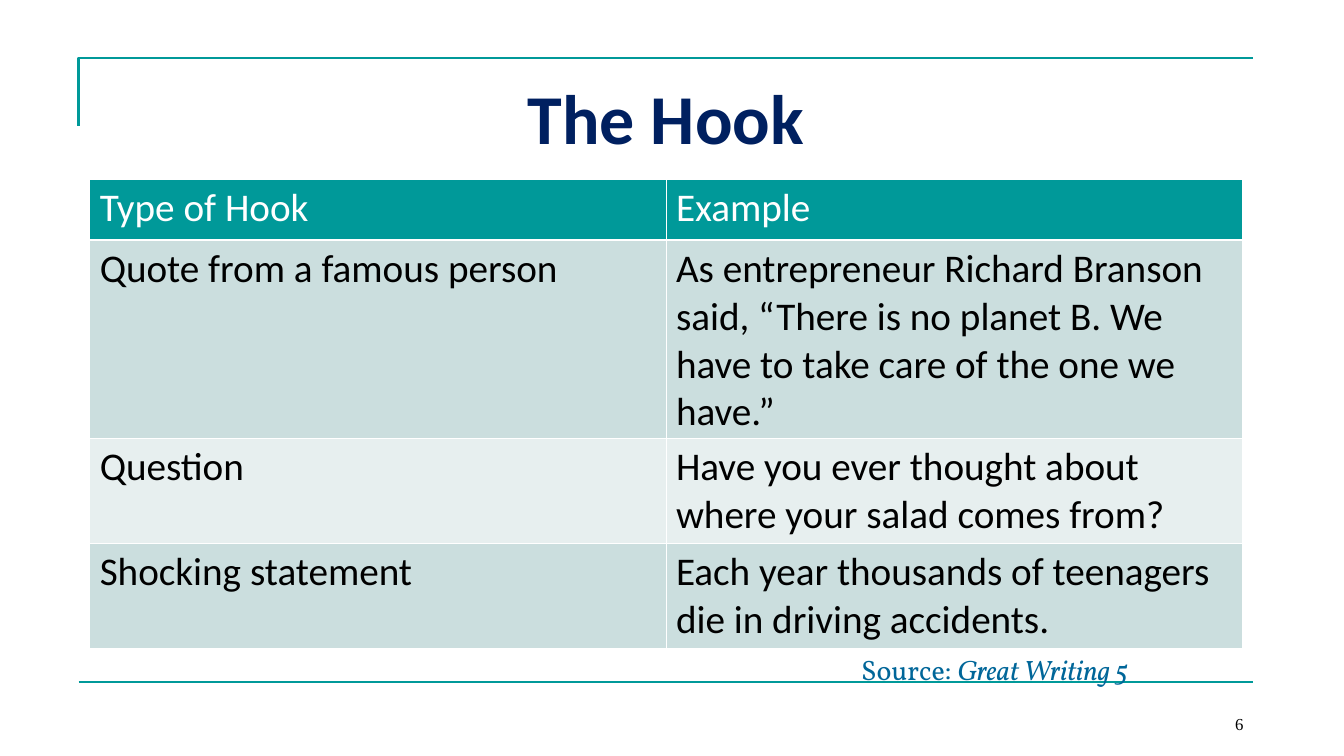
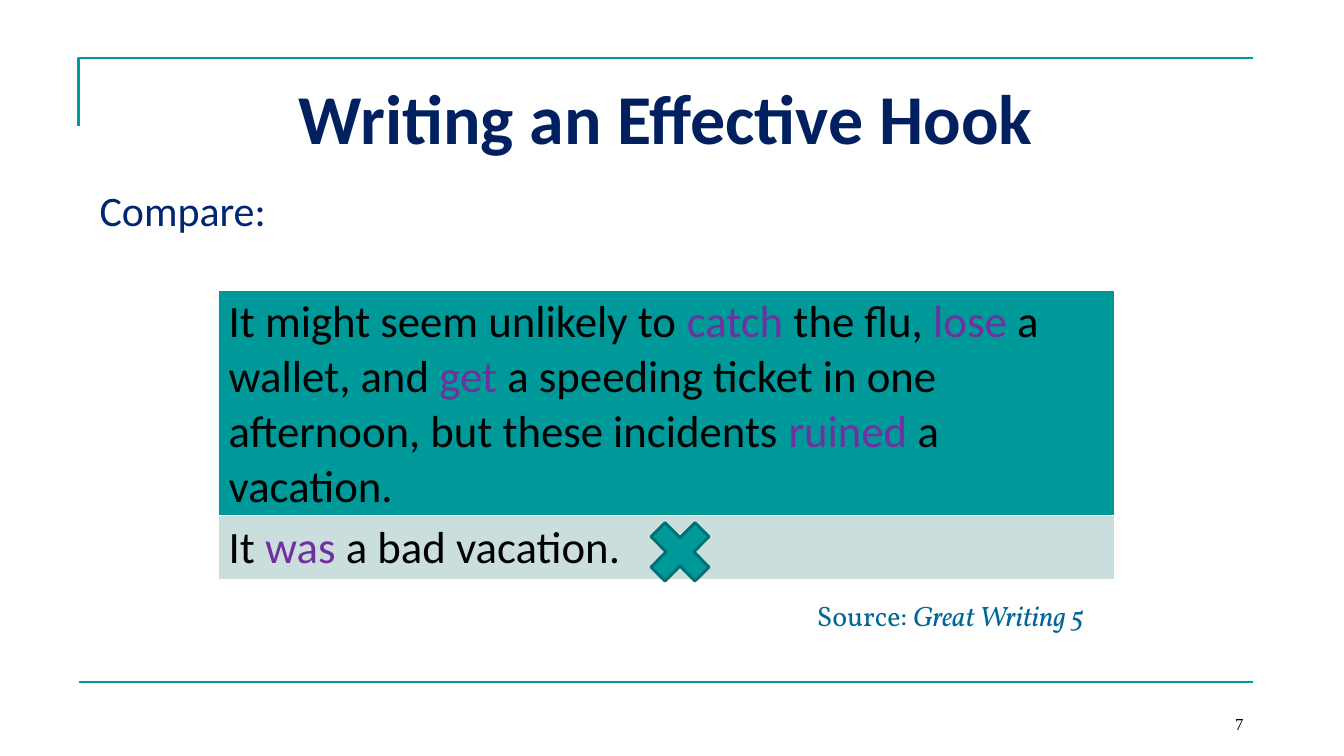
import pptx
import pptx.dml.color
import pptx.enum.shapes
import pptx.enum.text
import pptx.oxml.ns
import pptx.util
from lxml import etree

Inches = pptx.util.Inches
Pt = pptx.util.Pt
ALIGN = pptx.enum.text.PP_ALIGN
ANCHOR = pptx.enum.text.MSO_ANCHOR
qn = pptx.oxml.ns.qn

# Shared look
TEAL, DARK_TEAL, PALE, PALEST = "009999", "006F6F", "CBDEDE", "E7EFEF"
NAVY, BODY_BLUE, SOURCE_BLUE = "002060", "002673", "006699"
PURPLE, BLACK, WHITE = "7030A0", "000000", "FFFFFF"
BODY_FONT = "Calibri"
FRAME_LEFT, FRAME_TOP, FRAME_RIGHT, FRAME_BOTTOM = 0.78, 0.58, 12.44, 6.77
CORNER_DROP = 0.67
CONTENT_LEFT, CONTENT_WIDTH = 0.89, 11.44


def rgb(color):
    return pptx.dml.color.RGBColor.from_string(color)


def format_font(font, size, color, name=BODY_FONT):
    font.size = Pt(size)
    font.name = name
    font.color.rgb = rgb(color)


def write_runs(paragraph, parts, size, name=BODY_FONT):
    """Write (text, color) parts and return the runs."""
    runs = []
    for text, color in parts:
        run = paragraph.add_run()
        run.text = text
        format_font(run.font, size, color, name)
        runs.append(run)
    return runs


def add_text_box(slide, left, top, width, height):
    box = slide.shapes.add_textbox(*map(Inches, (left, top, width, height)))
    box.text_frame.word_wrap = True
    return box.text_frame


def add_frame(slide):
    """Corner line above the title and rule above the footer."""
    builder = slide.shapes.build_freeform(
        Inches(FRAME_LEFT), Inches(FRAME_TOP + CORNER_DROP))
    builder.add_line_segments(
        [(Inches(FRAME_LEFT), Inches(FRAME_TOP)),
         (Inches(FRAME_RIGHT), Inches(FRAME_TOP))], close=False)
    corner = builder.convert_to_shape()
    corner.fill.background()
    corner.shadow.inherit = False
    rule = slide.shapes.add_connector(
        pptx.enum.shapes.MSO_CONNECTOR.STRAIGHT,
        Inches(FRAME_LEFT), Inches(FRAME_BOTTOM),
        Inches(FRAME_RIGHT), Inches(FRAME_BOTTOM))
    etree.SubElement(rule._element.spPr, qn("a:effectLst"))
    for shape in (corner, rule):
        shape.line.color.rgb = rgb(TEAL)
        shape.line.width = Pt(1.5)


def add_slide(presentation, title, number):
    """Slide with frame, title and page number."""
    slide = presentation.slides.add_slide(presentation.slide_layouts[5])
    add_frame(slide)

    heading = slide.shapes.title
    heading.left, heading.top = Inches(CONTENT_LEFT), Inches(0.67)
    heading.width, heading.height = Inches(CONTENT_WIDTH), Inches(0.97)
    heading.text_frame.text = title
    heading.text_frame.vertical_anchor = ANCHOR.MIDDLE
    paragraph = heading.text_frame.paragraphs[0]
    paragraph.alignment = ALIGN.CENTER
    format_font(paragraph.runs[0].font, 50, NAVY)
    paragraph.runs[0].font.bold = True

    footer = add_text_box(slide, 9.33, 6.83, 3.11, 0.5)
    footer.vertical_anchor = ANCHOR.BOTTOM
    footer.paragraphs[0].alignment = ALIGN.RIGHT
    write_runs(footer.paragraphs[0], [(str(number), BLACK)], 12, "Times New Roman")
    return slide


def add_source(slide, left, top):
    frame = add_text_box(slide, left, top, 3.11, 0.44)
    parts = [("Source: ", SOURCE_BLUE), ("Great Writing 5", SOURCE_BLUE)]
    runs = write_runs(frame.paragraphs[0], parts, 20, "Vollkorn")
    runs[1].font.italic = True


def set_borders(cell, **widths):
    """White cell borders, one width in points for each side."""
    properties = cell._tc.get_or_add_tcPr()
    for side in "LRTB":
        line = etree.SubElement(properties, qn("a:ln" + side), w=str(Pt(widths[side])))
        fill = etree.SubElement(line, qn("a:solidFill"))
        etree.SubElement(fill, qn("a:srgbClr"), val=WHITE)


def add_table(slide, left, top, width, row_heights, rows, size):
    """Table whose cells are lists of (text, color) parts; the first row is teal."""
    column_count = len(rows[0])
    table = slide.shapes.add_table(
        len(rows), column_count, Inches(left), Inches(top),
        Inches(width), Inches(sum(row_heights))).table
    table.horz_banding = False
    table.first_row = False
    for column in table.columns:
        column.width = Inches(width / column_count)
    for row_index, cells in enumerate(rows):
        table.rows[row_index].height = Inches(row_heights[row_index])
        band = TEAL if row_index == 0 else (PALEST, PALE)[row_index % 2]
        for column_index, parts in enumerate(cells):
            cell = table.cell(row_index, column_index)
            set_borders(cell, L=0.45, R=0.45,
                        T=1.5 if row_index == 1 else 0.45,
                        B=1.5 if row_index == 0 else 0.45)
            cell.fill.solid()
            cell.fill.fore_color.rgb = rgb(band)
            write_runs(cell.text_frame.paragraphs[0], parts, size)


def add_cross(slide, left, top, width, height):
    cross = slide.shapes.add_shape(
        pptx.enum.shapes.MSO_SHAPE.MATH_MULTIPLY,
        *map(Inches, (left, top, width, height)))
    cross.shadow.inherit = False
    cross.fill.solid()
    cross.fill.fore_color.rgb = rgb(TEAL)
    cross.line.color.rgb = rgb(DARK_TEAL)
    cross.line.width = Pt(2)


def build_hook_types(presentation):
    slide = add_slide(presentation, "The Hook", 6)
    add_source(slide, 8.45, 6.42)
    hooks = [
        ("Type of Hook", "Example"),
        ("Quote from a famous person",
         "As entrepreneur Richard Branson said, “There is no planet B. "
         "We have to take care of the one we have.”"),
        ("Question", "Have you ever thought about where your salad comes from?"),
        ("Shocking statement",
         "Each year thousands of teenagers die in driving accidents."),
    ]
    rows = [[[(text, BLACK if index else WHITE)] for text in hook]
            for index, hook in enumerate(hooks)]
    add_table(slide, CONTENT_LEFT, 1.78, CONTENT_WIDTH, [0.6, 1.97, 1.04, 1.04], rows, 28)


def build_comparison(presentation):
    slide = add_slide(presentation, "Writing an Effective Hook", 7)
    add_source(slide, 8.01, 5.89)
    prompt = add_text_box(slide, CONTENT_LEFT, 1.78, CONTENT_WIDTH, 4.86)
    write_runs(prompt.paragraphs[0], [("Compare:", BODY_BLUE)], 30)

    # Verbs stand at the odd places of each sentence
    sentences = [
        ["It might seem unlikely to ", "catch", " the flu, ", "lose",
         " a wallet, and ", "get ",
         "a speeding ticket in one afternoon, but these incidents ",
         "ruined ", "a vacation."],
        ["It ", "was", " a bad vacation."],
    ]
    rows = [[[(text, (BLACK, PURPLE)[index % 2]) for index, text in enumerate(sentence)]]
            for sentence in sentences]
    add_table(slide, 2.17, 2.88, 8.89, [2.23, 0.63], rows, 32)
    add_cross(slide, 6.33, 5.05, 0.84, 0.85)


def main():
    presentation = pptx.Presentation()
    presentation.slide_width = Inches(13.34)
    presentation.slide_height = Inches(7.5)
    build_hook_types(presentation)
    build_comparison(presentation)
    presentation.save("out.pptx")


if __name__ == "__main__":
    main()
